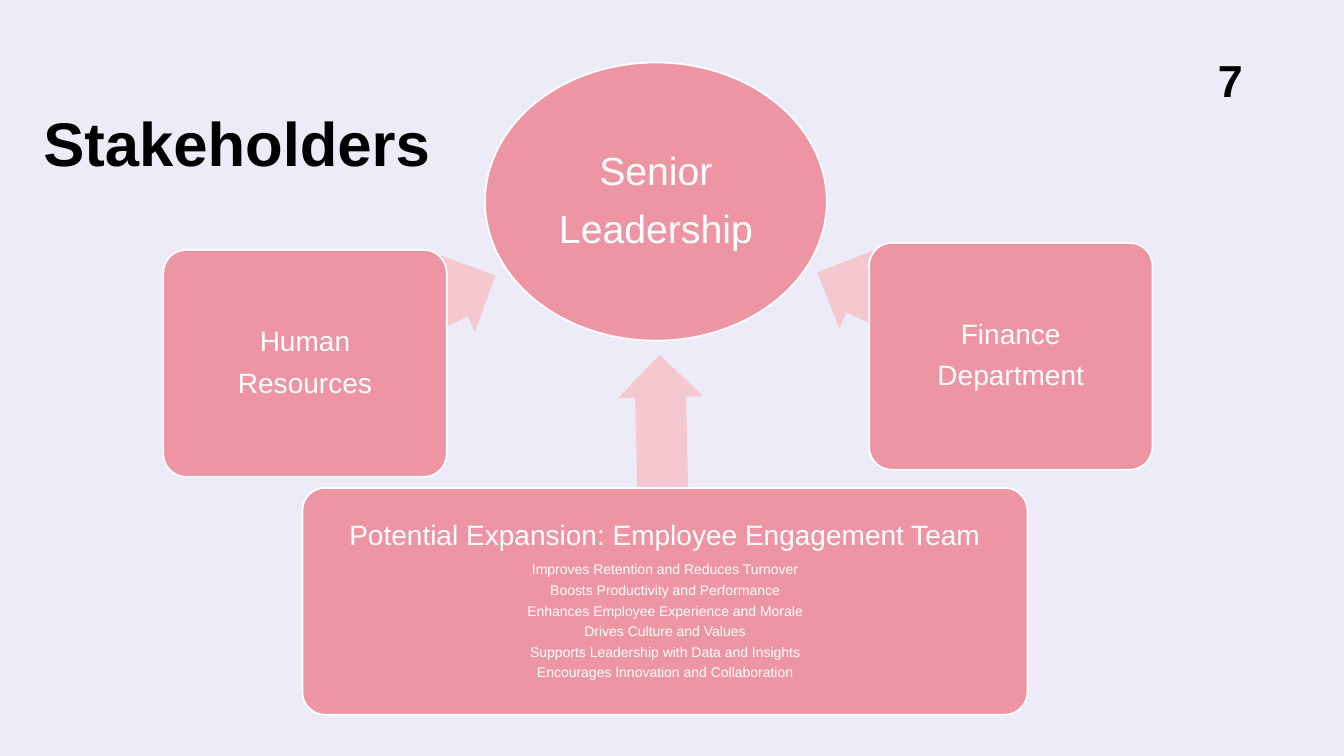
from pptx import Presentation
from pptx.dml.color import RGBColor
from pptx.enum.shapes import MSO_SHAPE as Preset
from pptx.enum.text import MSO_ANCHOR as Anchor, PP_ALIGN as Align
from pptx.util import Inches, Pt

BACKGROUND, ROSE, PALE_ROSE = "ECEBF7", "ED95A2", "F4C8CE"
WHITE, BLACK = "FFFFFF", "000000"
SPACING_RATIO = 0.39  # gap after a paragraph, relative to its text size
CARD_HEIGHT = 2.25

# Stakeholder cards: box, arrow box, arrow rotation, lines as (text, size)
STAKEHOLDERS = [
    ((1.62, 2.48, 2.81, CARD_HEIGHT), (2.93, 2.75, 2.08, 0.84), 155.2,
     [("Human", 20), ("Resources", 20)]),
    ((3, 4.84, 7.19, CARD_HEIGHT), (5.35, 4.32, 2.44, 0.84), 88.7,
     [("Potential Expansion: Employee Engagement Team", 20),
      ("Improves Retention and Reduces Turnover", 10),
      ("Boosts Productivity and Performance", 10),
      ("Enhances Employee Experience and Morale", 10),
      ("Drives Culture and Values", 10),
      ("Supports Leadership with Data and Insights", 10),
      ("Encourages Innovation and Collaboration", 10)]),
    ((8.62, 2.41, 2.81, CARD_HEIGHT), (8.02, 2.7, 2.09, 0.84), 23.5,
     [("Finance", 20), ("Department", 20)]),
]


def color(value):
    return RGBColor.from_string(value)


def set_all(target, values):
    for name, value in values.items():
        setattr(target, name, value)


def set_frame(frame, anchor, inset=None):
    set_all(frame, {"word_wrap": True, "vertical_anchor": anchor})
    if inset is not None:
        sides = ("left", "top", "right", "bottom")
        set_all(frame, {f"margin_{side}": Inches(inset) for side in sides})


def write(paragraph, text, size, tint, bold=False, **layout):
    run = paragraph.add_run()
    run.text = text
    set_all(run.font, {"name": "Arial", "size": Pt(size), "bold": bold})
    run.font.color.rgb = color(tint)
    set_all(paragraph, layout)


def add_preset(slide, preset, box, fill):
    shape = slide.shapes.add_shape(preset, *map(Inches, box))
    shape.shadow.inherit = False
    shape.fill.solid()
    shape.fill.fore_color.rgb = color(fill)
    shape.line.fill.background()
    return shape


# Heading text: the title and the page number
def add_heading(slide, box, text, size, anchor, inset=None, **layout):
    frame = slide.shapes.add_textbox(*map(Inches, box)).text_frame
    set_frame(frame, anchor, inset)
    write(frame.paragraphs[0], text, size, BLACK, True,
          space_after=Pt(6), **layout)


# Outlined node with centred lines
def add_node(slide, preset, box, lines, inset):
    node = add_preset(slide, preset, box, ROSE)
    node.line.color.rgb = color(WHITE)
    node.line.width = Pt(1.25)
    frame = node.text_frame
    set_frame(frame, Anchor.MIDDLE, inset)
    for index, (text, size) in enumerate(lines):
        paragraph = frame.add_paragraph() if index else frame.paragraphs[0]
        write(paragraph, text, size, WHITE, alignment=Align.CENTER,
              line_spacing=0.9, space_after=Pt(size * SPACING_RATIO))
    return node


# Stakeholder card with the arrow behind it
def add_stakeholder(slide, box, arrow_box, rotation, lines):
    arrow = add_preset(slide, Preset.LEFT_ARROW, arrow_box, PALE_ROSE)
    arrow.rotation = rotation
    arrow.adjustments[0], arrow.adjustments[1] = 0.6, 0.5
    card = add_node(slide, Preset.ROUNDED_RECTANGLE, box, lines, 0.04)
    card.adjustments[0] = 0.1


def main():
    presentation = Presentation()
    set_all(presentation, {"slide_width": Inches(13.33),
                           "slide_height": Inches(7.5)})
    slide = presentation.slides.add_slide(presentation.slide_layouts[6])
    slide.background.fill.solid()
    slide.background.fill.fore_color.rgb = color(BACKGROUND)

    add_heading(slide, (0.43, -0.12, 6.77, 3.22), "Stakeholders", 44,
                Anchor.MIDDLE, 0, line_spacing=0.75, space_before=Pt(10))
    add_node(slide, Preset.OVAL, (4.81, 0.62, 3.39, 2.76),
             [("Senior", 28), ("Leadership", 28)], 0.02)
    for stakeholder in STAKEHOLDERS:
        add_stakeholder(slide, *stakeholder)
    add_heading(slide, (11.98, 0.53, 1, 0.53), "7", 32,
                Anchor.TOP, line_spacing=0.9)

    presentation.save("out.pptx")


if __name__ == "__main__":
    main()
